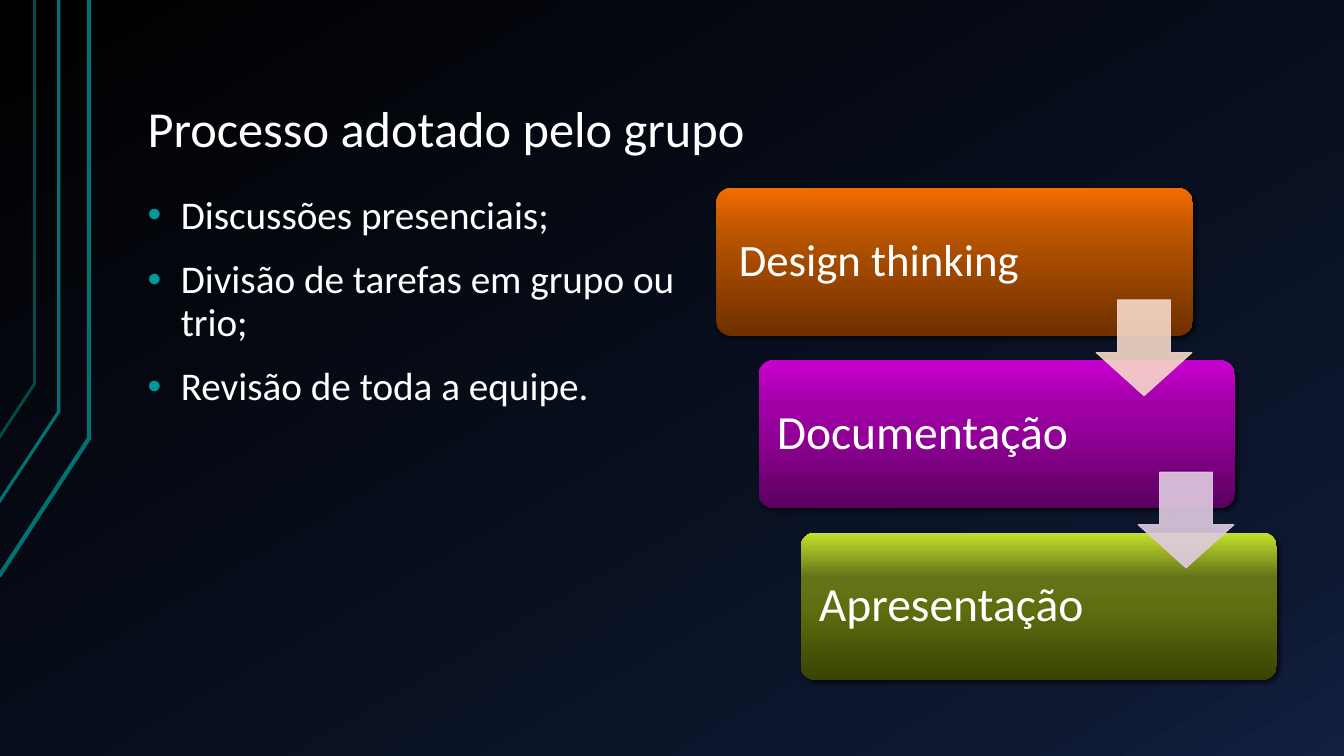
from pptx import Presentation, util as u
from pptx.dml.color import RGBColor
from pptx.enum import shapes, text
from pptx.oxml import parse_xml
from pptx.oxml.ns import nsdecls, qn

COLS, ROWS = 160, 90
WHITE, TEAL, DARK = "FFFFFF", "007272", "004C4C"


def paint(code):
    return RGBColor.from_string(code)


def node(xml):
    return parse_xml(f"<a:wrap {nsdecls('a')}>{xml}</a:wrap>")[0]


def write(frame, lines, size=32, align="LEFT", anchor="MIDDLE",
          inset=(0.13, 0.13), gap=0, bullet=None):
    frame.word_wrap = True
    frame.vertical_anchor = text.MSO_ANCHOR[anchor]
    frame.margin_left = frame.margin_right = u.Inches(inset[0])
    frame.margin_top = frame.margin_bottom = u.Inches(inset[1])
    for i, line in enumerate(lines):
        para = frame.add_paragraph() if i else frame.paragraphs[0]
        para.alignment = text.PP_ALIGN[align]
        para.line_spacing = 0.9
        para.space_before = u.Pt(gap if i else 0)
        run = para.add_run()
        run.text = line
        run.font.size = u.Pt(size)
        run.font.name = "Calibri"
        run.font.color.rgb = paint(WHITE)
        if bullet:
            props = para._p.get_or_add_pPr()
            props.set("marL", str(u.Inches(0.33)))
            props.set("indent", str(-u.Inches(0.33)))
            props.append(node(f'<a:buClr><a:srgbClr val="{bullet}"/></a:buClr>'))
            props.append(node('<a:buFont typeface="Arial"/>'))
            props.append(node('<a:buChar char="•"/>'))


class Deck:
    def __init__(self):
        self.file = Presentation()
        self.file.slide_width = u.Inches(13.33)
        self.file.slide_height = u.Inches(7.5)
        self.slide = self.file.slides.add_slide(self.file.slide_layouts[6])
        self.items = self.slide.shapes

    def x(self, col):
        return round(self.file.slide_width * col / COLS)

    def y(self, row):
        return round(self.file.slide_height * row / ROWS)

    def area(self, col, row, wide, high):
        return self.x(col), self.y(row), self.x(wide), self.y(high)

    def blend(self, owner, fill, stops, angle):
        fill.gradient()
        fill.gradient_angle = 360 - angle
        ramp = next(owner.element.iter(qn("a:gsLst")))
        for old in list(ramp):
            ramp.remove(old)
        for spot, code in stops:
            ramp.append(node(f'<a:gs pos="{spot * 1000}">'
                             f'<a:srgbClr val="{code}"/></a:gs>'))

    def back(self, stops, angle):
        self.blend(self.slide, self.slide.background.fill, stops, angle)

    def trace(self, points, code, width):
        spots = [(self.x(c), self.y(r)) for c, r in points]
        pen = self.items.build_freeform(*spots[0])
        pen.add_line_segments(spots[1:], close=False)
        form = pen.convert_to_shape()
        form.shadow.inherit = False
        form.fill.background()
        form.line.color.rgb = paint(code)
        form.line.width = u.Pt(width)

    def label(self, place, lines, **style):
        box = self.items.add_textbox(*self.area(*place))
        write(box.text_frame, lines, **style)

    def shape(self, kind, place, sizes):
        form = self.items.add_shape(shapes.MSO_SHAPE[kind], *self.area(*place))
        form.shadow.inherit = False
        for i, size in enumerate(sizes):
            form.adjustments[i] = size
        return form

    def card(self, place, codes):
        form = self.shape("ROUNDED_RECTANGLE", place, [0.1])
        self.blend(form, form.fill, zip((0, 50, 70, 100), codes), 270)
        form.line.fill.background()
        glow = form.element.spPr.find(qn("a:effectLst"))
        glow.append(node(
            f'<a:outerShdw blurRad="{u.Pt(3)}" dist="{u.Pt(2)}" dir="{45 * 60000}">'
            '<a:srgbClr val="000000"><a:alpha val="60000"/></a:srgbClr>'
            '</a:outerShdw>'))

    def arrow(self, place, code):
        form = self.shape("DOWN_ARROW", place, [0.55, 0.45])
        form.fill.solid()
        form.fill.fore_color.rgb = paint(code)
        form.line.color.rgb = paint(code)
        form.line.width = u.Pt(0.75)
        for tint in form.element.spPr.iter(qn("a:srgbClr")):
            tint.append(node('<a:alpha val="90000"/>'))


deck = Deck()
deck.back([(0, "000000"), (85, "0D172F"), (100, "122041")], 60)

for left, low, side, bend, code, width in (
        (-0.1, 68.6, 10.6, 52.2, TEAL, 3),
        (-0.2, 59.9, 7, 49, TEAL, 2.25),
        (-0.1, 52.1, 4.1, 45.7, DARK, 2)):
    deck.trace([(left, low), (side, bend), (side, 0)], code, width)

deck.label((16, 3.6, 136, 16.1), ["Processo adotado pelo grupo"],
           size=36, anchor="BOTTOM", inset=(0.13, 0.07))
deck.label((16, 22.4, 66.6, 58.6),
           ["Discussões presenciais;",
            "Divisão de tarefas em grupo ou trio;",
            "Revisão de toda a equipe."],
           size=28, anchor="TOP", inset=(0.13, 0.07), gap=16, bullet="009999")

LEFT, TOP, STEP, DROP = 85.3, 22.4, 5, 20.5
large = dict(size=34, inset=(0.14, 0.14))
steps = [
    ("Design thinking", ("703000", "A44A00", "BC5500", "F26D00"),
     37.7, dict(align="CENTER")),
    ("Documentação", ("5A005E", "920097", "A100A7", "C800CE"), 39.2, large),
    ("Apresentação", ("394404", "5F6F0F", "65741A", "C5E22B"), 39.2, large),
]
for i, (name, codes, wide, style) in enumerate(steps):
    col, row = LEFT + i * STEP, TOP + i * DROP
    deck.card((col, row, 56.7, 17.6), codes)
    deck.label((col + 0.5, row + 0.5, wide, 16.6), [name], **style)

for i, code in enumerate(("F5D9C9", "E0CBE1")):
    deck.arrow((LEFT + 45.2 + i * STEP, TOP + 13.3 + i * DROP, 11.4, 11.4), code)

deck.file.save("out.pptx")
